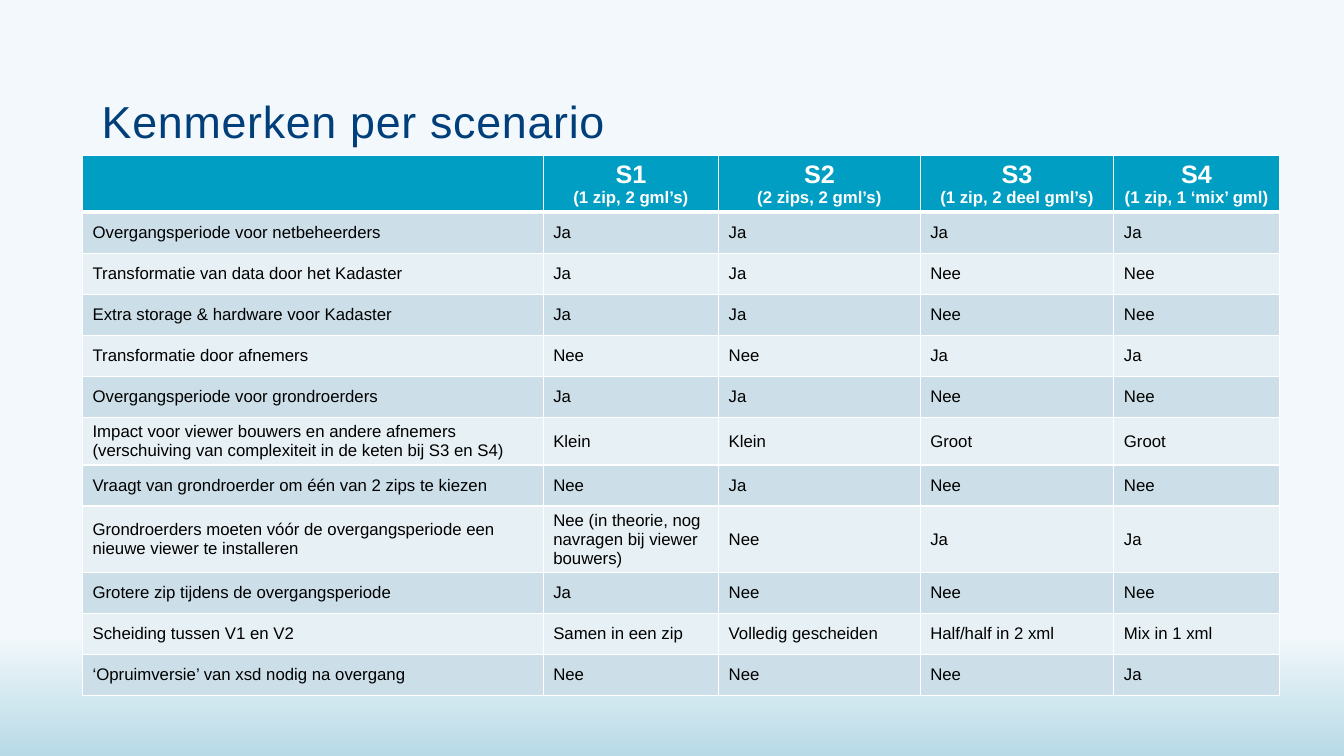
from dataclasses import dataclass
from lxml.etree import SubElement as Sub
from pptx import Presentation
from pptx.dml.color import RGBColor as Rgb
from pptx.enum.shapes import MSO_SHAPE as Shape
from pptx.enum.text import MSO_ANCHOR as Anchor, MSO_AUTO_SIZE as Auto, PP_ALIGN as Align
from pptx.oxml.ns import qn
from pptx.util import Cm, Pt


@dataclass(frozen=True)
class Theme:
    font: str = "Arial"
    back: str = "F2F8FB"
    glow: str = "007EA9"
    title: str = "003F79"
    head: str = "009EC2"
    odd: str = "CCDFE9"
    even: str = "E7F0F4"
    white: str = "FFFFFF"
    black: str = "000000"
    big: int = 32
    mid: int = 18
    small: int = 12


THEME = Theme()
WIDTHS = (11.61, 4.42, 5.08, 4.88, 4.17)
HEADS = (
    ("S1", "(1 zip, 2 gml’s)"),
    ("S2", "(2 zips, 2 gml’s)"),
    ("S3", "(1 zip, 2 deel gml’s)"),
    ("S4", "(1 zip, 1 ‘mix’ gml)"),
)
ROWS = (
    ("Overgangsperiode voor netbeheerders", "Ja", "Ja", "Ja", "Ja"),
    ("Transformatie van data door het Kadaster", "Ja", "Ja", "Nee", "Nee"),
    ("Extra storage & hardware voor Kadaster", "Ja", "Ja", "Nee", "Nee"),
    ("Transformatie door afnemers", "Nee", "Nee", "Ja", "Ja"),
    ("Overgangsperiode voor grondroerders", "Ja", "Ja", "Nee", "Nee"),
    ("Impact voor viewer bouwers en andere afnemers (verschuiving van complexiteit in de keten bij S3 en S4)",
     "Klein", "Klein", "Groot", "Groot"),
    ("Vraagt van grondroerder om één van 2 zips te kiezen", "Nee", "Ja", "Nee", "Nee"),
    ("Grondroerders moeten vóór de overgangsperiode een nieuwe viewer te installeren",
     "Nee (in theorie, nog navragen bij viewer bouwers)", "Nee", "Ja", "Ja"),
    ("Grotere zip tijdens de overgangsperiode", "Ja", "Nee", "Nee", "Nee"),
    ("Scheiding tussen V1 en V2", "Samen in een zip", "Volledig gescheiden", "Half/half in 2 xml", "Mix in 1 xml"),
    ("‘Opruimversie’ van xsd nodig na overgang", "Nee", "Nee", "Nee", "Ja"),
)


def paint(fill, color):
    fill.solid()
    fill.fore_color.rgb = Rgb.from_string(color)


def style(font, color, size=None, bold=False):
    font.name = THEME.font
    font.color.rgb = Rgb.from_string(color)
    font.bold = bold
    if size:
        font.size = Pt(size)


def add_glow(slide, left, top, width, height):
    paint(slide.background.fill, THEME.back)
    band = slide.shapes.add_shape(Shape.RECTANGLE, left, top, width, height)
    band.shadow.inherit = False
    band.line.fill.background()
    band.fill.gradient()
    band.fill.gradient_angle = 270
    for stop in band.fill.gradient_stops:
        stop.color.rgb = Rgb.from_string(THEME.glow)
    tints = band._element.spPr.iter(qn("a:srgbClr"))
    for tint, alpha in zip(tints, (0, 25000)):
        Sub(tint, qn("a:alpha"), val=str(alpha))


def add_title(slide, text, left, top, width, height):
    title = slide.shapes.title
    title.left, title.top, title.width, title.height = left, top, width, height
    frame = title.text_frame
    frame.text = text
    frame.word_wrap = True
    frame.auto_size = Auto.NONE
    frame.vertical_anchor = Anchor.TOP
    par = frame.paragraphs[0]
    par.alignment = Align.LEFT
    par.line_spacing = 0.95
    par.space_before = Pt(4)
    style(par.font, THEME.title, THEME.big)
    par.runs[0].font._rPr.set("spc", "50")


def edge(cell, base):
    props = cell._tc.get_or_add_tcPr()
    for side, wide in (("L", 1), ("R", 1), ("T", 1), ("B", base)):
        line = Sub(props, qn("a:ln" + side), w=str(Pt(wide)))
        Sub(Sub(line, qn("a:solidFill")), qn("a:srgbClr"), val=THEME.white)


def fill_head(cell, name, note):
    par = cell.text_frame.paragraphs[0]
    par.alignment = Align.CENTER
    style(par.font, THEME.white, bold=True)
    for text, size in ((name, THEME.mid), (note, THEME.small)):
        if par.runs:
            par.add_line_break()
        run = par.add_run()
        run.text = text
        run.font.size = Pt(size)


def add_grid(slide, left, top, width, height):
    count = len(ROWS) + 1
    grid = slide.shapes.add_table(count, len(WIDTHS), left, top, width, height).table
    grid.horz_banding = False
    for col, wide in zip(grid.columns, WIDTHS):
        col.width = int(width * wide / sum(WIDTHS))
    for row in grid.rows:
        row.height = height // count
    for cell in grid.rows[0].cells:
        edge(cell, 3)
        paint(cell.fill, THEME.head)
    for col, labels in enumerate(HEADS, 1):
        fill_head(grid.cell(0, col), *labels)
    for num, texts in enumerate(ROWS, 1):
        for col, text in enumerate(texts):
            cell = grid.cell(num, col)
            edge(cell, 1)
            paint(cell.fill, THEME.odd if num % 2 else THEME.even)
            cell.text = text
            cell.vertical_anchor = Anchor.MIDDLE
            style(cell.text_frame.paragraphs[0].font, THEME.black, THEME.small)


def main():
    deck = Presentation()
    deck.slide_width, deck.slide_height = Cm(33.87), Cm(19.05)
    slide = deck.slides.add_slide(deck.slide_layouts[5])
    add_glow(slide, 0, Cm(16.05), deck.slide_width, Cm(3))
    add_grid(slide, Cm(2.08), Cm(3.91), Cm(30.16), Cm(12.4))
    add_title(slide, "Kenmerken per scenario", Cm(2.31), Cm(2.34), Cm(29.72), Cm(1.19))
    deck.save("out.pptx")


if __name__ == "__main__":
    main()
